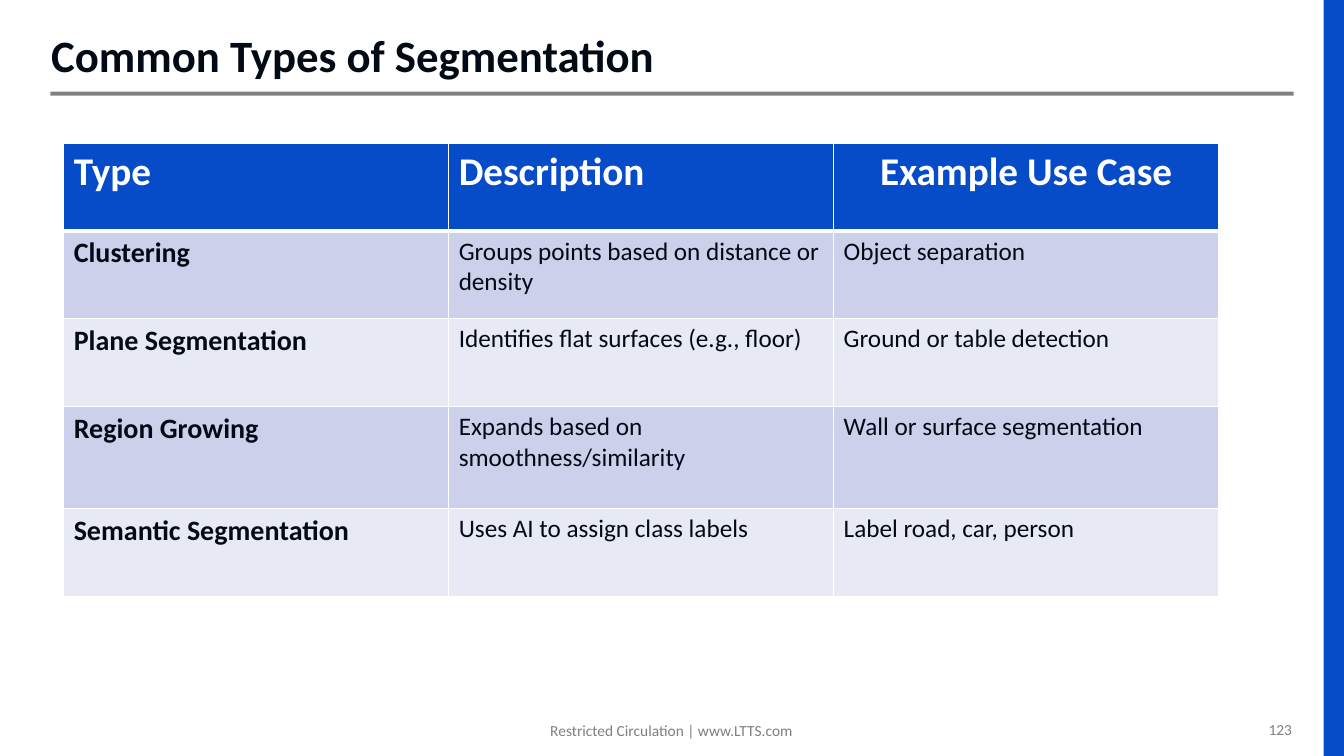
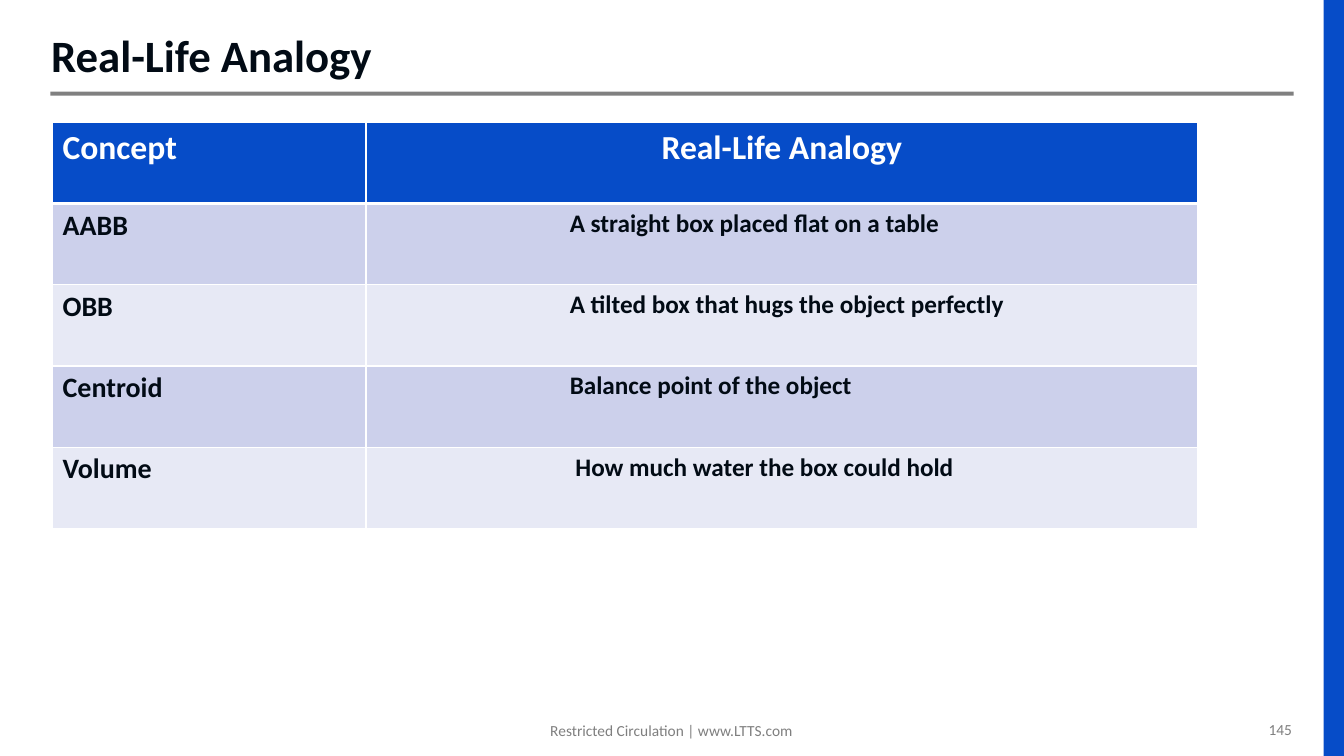
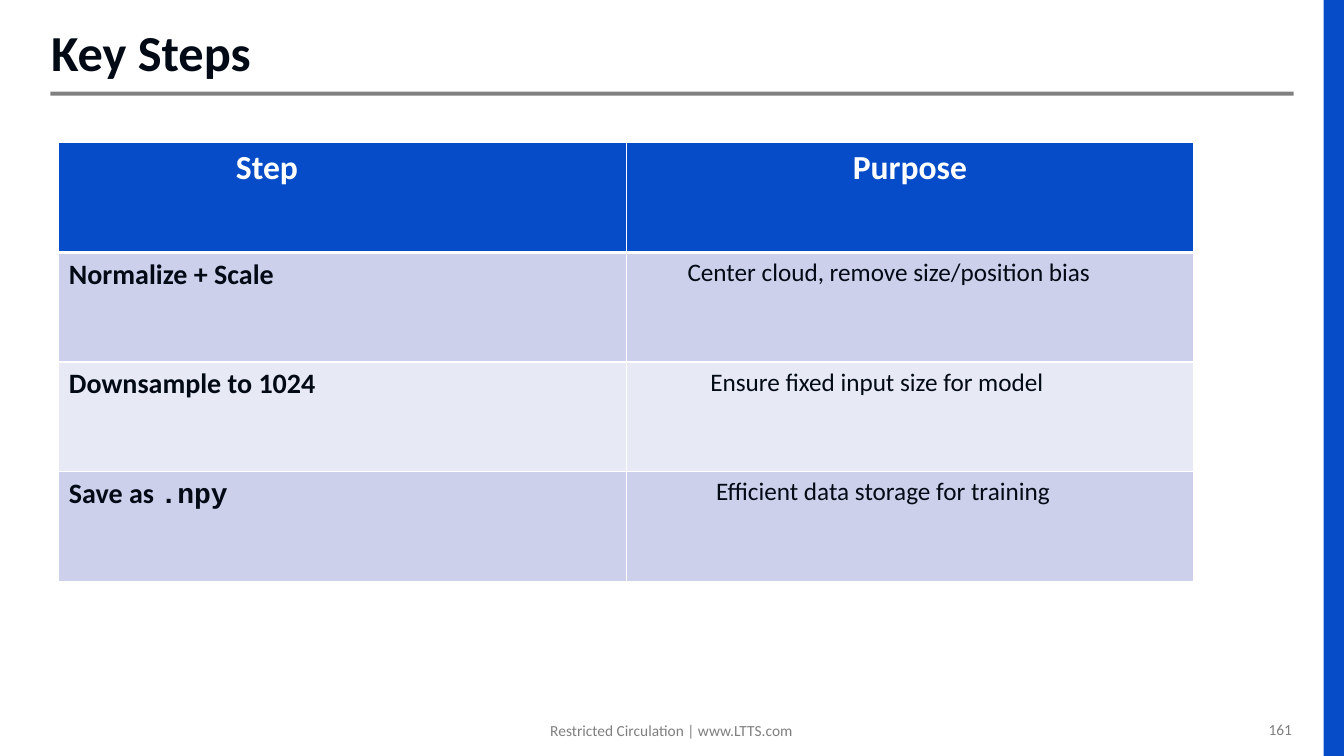
from dataclasses import dataclass

from lxml import etree
from pptx import Presentation
from pptx.dml.color import RGBColor
from pptx.enum import shapes, text
from pptx.oxml.ns import qn
from pptx.util import Pt


@dataclass(frozen=True)
class Theme:
    font: str = "Calibri"
    code_font: str = "Courier New"
    ink: str = "020B15"
    white: str = "FFFFFF"
    blue: str = "064CC8"
    rule: str = "808080"
    footer: str = "7F7F7F"
    bands: tuple = ("CCD0EB", "E7E9F5")
    footer_size: int = 11
    body_size: int = 18
    label_size: int = 20


@dataclass(frozen=True)
class Cell:
    """Table text with an optional left indent, centring and trailing code."""
    text: str
    indent: float = 0
    centred: bool = False
    code: str = ""


T = Theme()
LEFT, CENTER, RIGHT = text.PP_ALIGN.LEFT, text.PP_ALIGN.CENTER, text.PP_ALIGN.RIGHT
WIDTH, HEIGHT = 960, 540
FOOTER = "Restricted Circulation | www.LTTS.com"


def style(p, size, color, bold=False, align=LEFT):
    p.alignment = align
    p.font.name = T.font
    p.font.size = Pt(size)
    p.font.bold = bold
    p.font.color.rgb = RGBColor.from_string(color)


def add_bar(s, box, color):
    sp = s.shapes.add_shape(shapes.MSO_SHAPE.RECTANGLE, *map(Pt, box))
    sp.shadow.inherit = False
    sp.fill.solid()
    sp.fill.fore_color.rgb = RGBColor.from_string(color)
    sp.line.fill.background()


def add_footer_text(s, box, value, align):
    tf = s.shapes.add_textbox(*map(Pt, box)).text_frame
    tf.word_wrap = align == RIGHT
    p = tf.paragraphs[0]
    p.text = value
    style(p, T.footer_size, T.footer, align=align)


def add_title(s, title, size):
    sp = s.shapes.title
    sp.left, sp.top, sp.width, sp.height = map(Pt, (36.5, 19.5, 888, 43))
    tf = sp.text_frame
    tf.auto_size = text.MSO_AUTO_SIZE.NONE
    tf.word_wrap = True
    tf.vertical_anchor = text.MSO_ANCHOR.BOTTOM
    tf.margin_left = tf.margin_right = 0
    tf.margin_top = tf.margin_bottom = Pt(3.6)
    p = tf.paragraphs[0]
    p.text = title
    p.line_spacing = 0.9
    style(p, size, T.ink, bold=True)


def add_frame_slide(prs, title, number, title_size=32):
    """Add a slide with the shared title, rule, side band and footer."""
    s = prs.slides.add_slide(prs.slide_layouts[5])
    add_footer_text(s, (882, 510.5, 48, 21), number, RIGHT)
    add_footer_text(s, (384.5, 511.5, 190.5, 21), FOOTER, CENTER)
    add_bar(s, (36, 65.5, 888, 2.8), T.rule)
    add_bar(s, (945.5, 0, 14.5, HEIGHT), T.blue)
    add_title(s, title, title_size)
    return s


def add_borders(cell, top, bottom):
    tc_pr = cell._tc.get_or_add_tcPr()
    for side, width in (("L", 1), ("R", 1), ("T", top), ("B", bottom)):
        ln = etree.SubElement(tc_pr, qn(f"a:ln{side}"), w=str(Pt(width)))
        fill = etree.SubElement(ln, qn("a:solidFill"))
        etree.SubElement(fill, qn("a:srgbClr"), val=T.white)


def fill_cell(cell, content, row, size, color, bold):
    add_borders(cell, top=3 if row == 1 else 1, bottom=3 if row == 0 else 1)
    cell.fill.solid()
    cell.fill.fore_color.rgb = RGBColor.from_string(
        T.bands[(row - 1) % 2] if row else T.blue)
    p = cell.text_frame.paragraphs[0]
    p.text = content.text
    if content.indent:
        p._p.get_or_add_pPr().set("marL", str(Pt(content.indent)))
    if content.code:
        r = p.add_run()
        r.text = content.code
        r.font.name = T.code_font
    style(p, size, color, bold, CENTER if content.centred else LEFT)


def add_grid(s, origin, widths, heights, rows, header_size, bold_body=False):
    """Place a table at origin; plain strings in rows become plain cells."""
    box = (*origin, sum(widths), sum(heights))
    table = s.shapes.add_table(len(rows), len(widths), *map(Pt, box)).table
    for column, width in zip(table.columns, widths):
        column.width = Pt(width)
    for i, (row, height) in enumerate(zip(rows, heights)):
        table.rows[i].height = Pt(height)
        for j, item in enumerate(row):
            content = item if isinstance(item, Cell) else Cell(item)
            if i == 0:
                look = (header_size, T.white, True)
            elif j == 0:
                look = (T.label_size, T.ink, True)
            else:
                look = (T.body_size, T.ink, bold_body)
            fill_cell(table.cell(i, j), content, i, *look)


def segmentation_slide(prs):
    s = add_frame_slide(prs, "Common Types of Segmentation", "123")
    rows = [
        ("Type", "Description", Cell("Example Use Case", centred=True)),
        ("Clustering", "Groups points based on distance or density", "Object separation"),
        ("Plane Segmentation", "Identifies flat surfaces (e.g., floor)",
         "Ground or table detection"),
        ("Region Growing", "Expands based on smoothness/similarity",
         "Wall or surface segmentation"),
        ("Semantic Segmentation", "Uses AI to assign class labels", "Label road, car, person"),
    ]
    add_grid(s, (45.5, 102.5), [275] * 3, [62.6, 62.6, 62.6, 73.2, 62.6], rows, 28)


def analogy_slide(prs):
    s = add_frame_slide(prs, "Real-Life Analogy", "145")
    indent = 138.3
    rows = [
        ("Concept", Cell("Real-Life Analogy", centred=True)),
        ("AABB", Cell("A straight box placed flat on a table", indent)),
        ("OBB", Cell("A tilted box that hugs the object perfectly", indent)),
        ("Centroid", Cell("Balance point of the object", indent)),
        ("Volume", Cell("How much water the box could hold", indent + 4)),
    ]
    add_grid(s, (37.5, 87.4), [224, 594], [58] * 5, rows, 24, bold_body=True)


def steps_slide(prs):
    s = add_frame_slide(prs, "Key Steps", "161", title_size=36)
    rows = [
        (Cell("Step", 119.3), Cell("Purpose", centred=True)),
        ("Normalize + Scale", Cell("Center cloud, remove size/position bias", 36.6)),
        ("Downsample to 1024", Cell("Ensure fixed input size for model", 52.9)),
        (Cell("Save as ", code=".npy"), Cell("Efficient data storage for training", 57)),
    ]
    add_grid(s, (42, 102), [405.3] * 2, [78.3] * 4, rows, 24)


def main():
    prs = Presentation()
    prs.slide_width, prs.slide_height = Pt(WIDTH), Pt(HEIGHT)
    for build in (segmentation_slide, analogy_slide, steps_slide):
        build(prs)
    prs.save("out.pptx")


if __name__ == "__main__":
    main()
